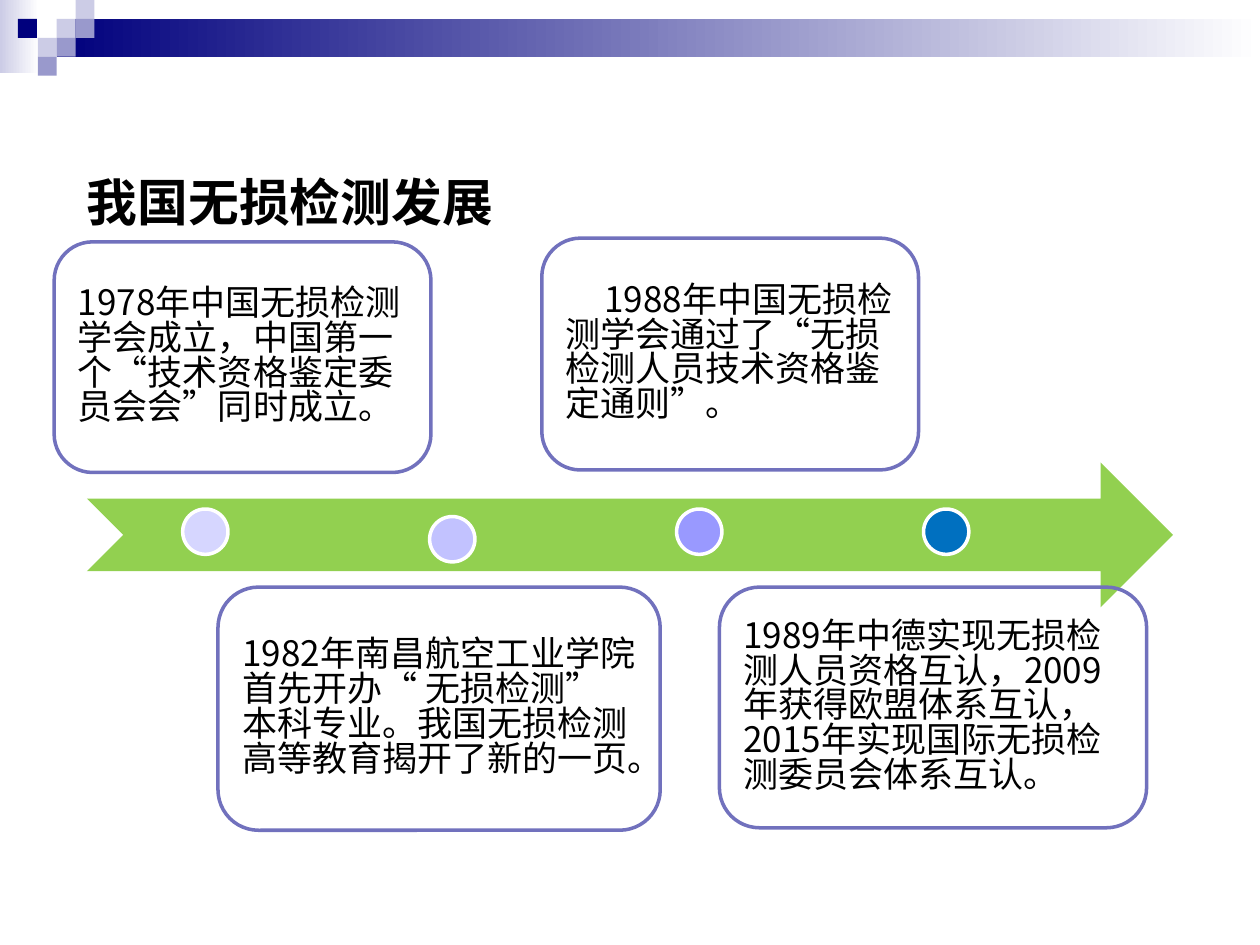
from dataclasses import dataclass

from pptx import Presentation, util as u
from pptx.dml.color import RGBColor
from pptx.enum import shapes, text
from pptx.oxml.ns import qn

WIDE, HIGH = 10, 7.5
CELL = 0.15  # side of one header square
FONT = "Noto Sans CJK SC"
HUES = {
    "navy": "00007D", "mid": "9999CC", "pale": "CCCCE6", "white": "FFFFFF",
    "black": "000000", "edge": "7171BD", "green": "92D050",
    "dot1": "D6D6FF", "dot2": "C2C2FF", "dot3": "9999FF", "dot4": "0070C0",
}
KIND = shapes.MSO_SHAPE


@dataclass
class Box:
    left: float
    top: float
    width: float
    height: float

    def emu(self) -> list[int]:
        return [u.Inches(n) for n in (self.left, self.top, self.width, self.height)]


@dataclass
class Square:
    col: float
    row: int
    hue: str


@dataclass
class Event:
    box: Box
    words: str
    indent: float = 0


SQUARES = [
    Square(3, 1, "pale"), Square(4, 0, "pale"), Square(4, 1, "mid"),
    Square(2, 2, "pale"), Square(0.95, 1, "navy"), Square(3, 2, "mid"),
    Square(2, 3, "mid"),
]
EVENTS = [
    Event(Box(5.71, 4.66, 3.39, 1.91),
          "1989年中德实现无损检测人员资格互认，2009年获得欧盟体系互认，"
          "2015年实现国际无损检测委员会体系互认。"),
    Event(Box(4.3, 1.89, 2.99, 1.84),
          "1988年中国无损检测学会通过了“无损检测人员技术资格鉴定通则”。", 0.31),
    Event(Box(1.73, 4.66, 3.51, 1.93),
          "1982年南昌航空工业学院首先开办“ 无损检测” 本科专业。"
          "我国无损检测高等教育揭开了新的一页。"),
    Event(Box(0.43, 1.92, 2.99, 1.83),
          "1978年中国无损检测学会成立，中国第一个“技术资格鉴定委员会会”同时成立。"),
]


def tint(name: str) -> RGBColor:
    return RGBColor.from_string(HUES[name])


def draw(slide, kind, box: Box, fill: str = "", line: str = ""):
    """Add a preset shape; an empty fill or line means none."""
    shape = slide.shapes.add_shape(kind, *box.emu())
    shape.shadow.inherit = False
    if fill:
        shape.fill.solid()
        shape.fill.fore_color.rgb = tint(fill)
    else:
        shape.fill.background()
    if line:
        shape.line.color.rgb = tint(line)
        shape.line.width = u.Pt(2)
    else:
        shape.line.fill.background()
    return shape


def fade(slide, box: Box, hue: str) -> None:
    """Add a bar that fades to white from left to right."""
    fill = draw(slide, KIND.RECTANGLE, box).fill
    fill.gradient()
    fill.gradient_angle = 0
    for stop, name, place in zip(fill.gradient_stops, (hue, "white"), (0, 1)):
        stop.color.rgb = tint(name)
        stop.position = place


def write(shape, words: str, size: float, bold: bool = False,
          space: float = 1, indent: float = 0) -> None:
    frame = shape.text_frame
    frame.word_wrap = True
    frame.vertical_anchor = text.MSO_ANCHOR.MIDDLE
    para = frame.paragraphs[0]
    para.alignment = text.PP_ALIGN.LEFT
    para.line_spacing = space
    if indent:
        para._p.get_or_add_pPr().set("indent", str(u.Inches(indent)))
    run = para.add_run()
    run.text = words
    style = {"name": FONT, "size": u.Pt(size), "bold": bold}
    for key, value in style.items():
        setattr(run.font, key, value)
    run.font.color.rgb = tint("black")
    east = run.font._element.makeelement(qn("a:ea"), {"typeface": FONT})
    run.font._element.find(qn("a:latin")).addnext(east)


def main() -> None:
    deck = Presentation()
    deck.slide_width, deck.slide_height = u.Inches(WIDE), u.Inches(HIGH)
    slide = deck.slides.add_slide(deck.slide_layouts[6])

    # Header bars and squares
    fade(slide, Box(0, 0, 0.31, 0.58), "pale")
    fade(slide, Box(3 * CELL, CELL, WIDE - 3 * CELL, 2 * CELL), "navy")
    for sq in SQUARES:
        draw(slide, KIND.RECTANGLE,
             Box(sq.col * CELL, sq.row * CELL, CELL, CELL), sq.hue)

    # Title
    title = slide.shapes.add_textbox(*Box(0.59, 1.28, 8.62, 0.64).emu())
    write(title, "我国无损检测发展", 29, bold=True)

    # Time arrow with evenly spaced dots
    draw(slide, KIND.NOTCHED_RIGHT_ARROW, Box(0.69, 3.67, 8.62, 1.15), "green")
    for i, top in enumerate((4.04, 4.1, 4.04, 4.04)):
        draw(slide, KIND.OVAL, Box(1.45 + 1.96 * i, top, 0.36, 0.36),
             f"dot{i + 1}", "white")

    # Event cards
    for event in EVENTS:
        card = draw(slide, KIND.ROUNDED_RECTANGLE, event.box, line="edge")
        write(card, event.words, 20, space=0.83, indent=event.indent)

    deck.save("out.pptx")


if __name__ == "__main__":
    main()
